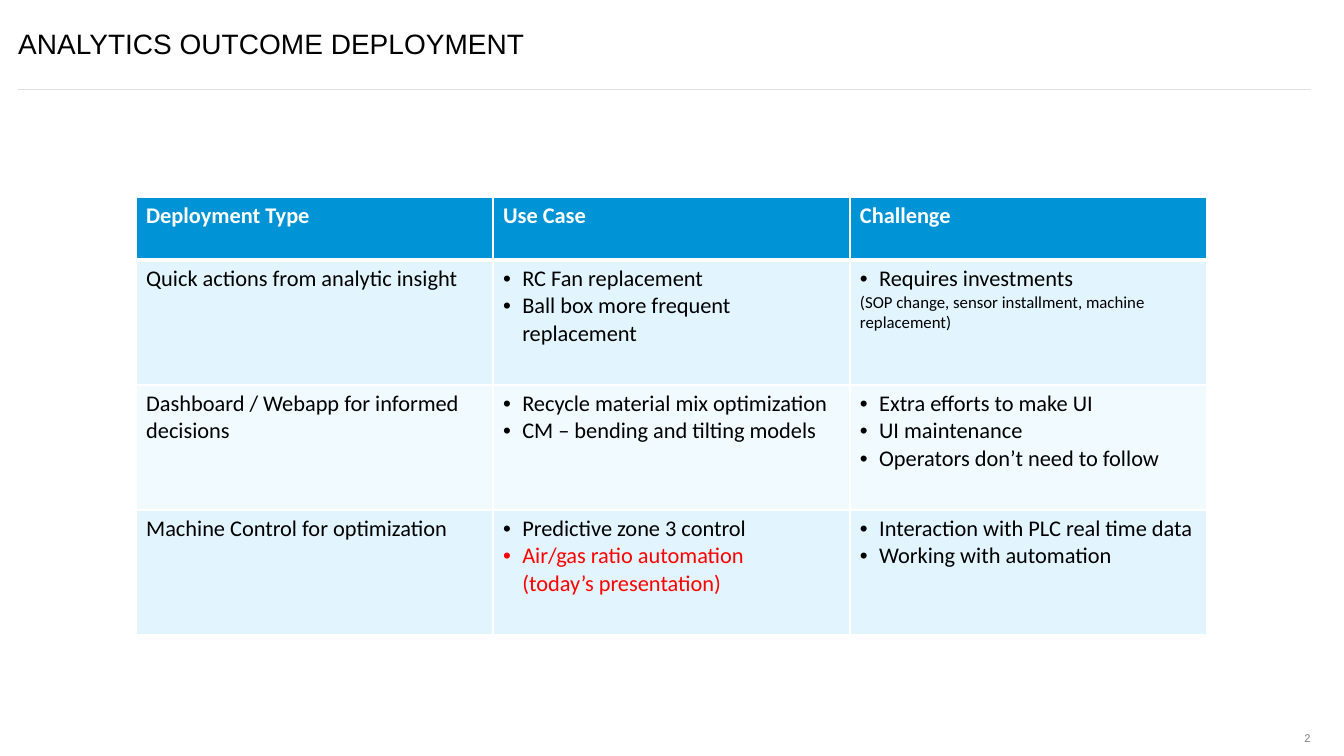
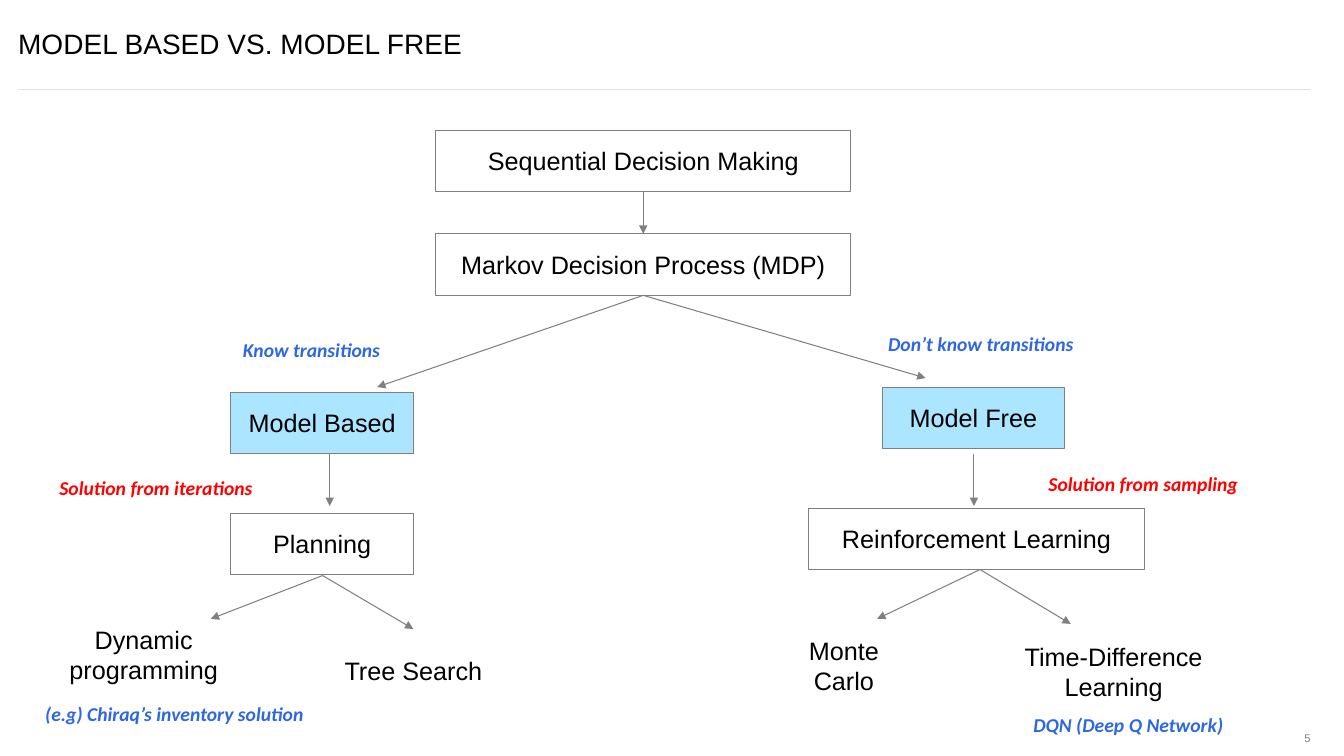
from lxml import etree
from pptx import Presentation
from pptx.dml.color import RGBColor
from pptx.enum.shapes import MSO_CONNECTOR, MSO_SHAPE
from pptx.enum.text import MSO_ANCHOR, PP_ALIGN
from pptx.oxml.ns import qn
from pptx.util import Inches, Pt

LINE, RECT = MSO_CONNECTOR.STRAIGHT, MSO_SHAPE.RECTANGLE
LEFT, MID, RIGHT = PP_ALIGN.LEFT, PP_ALIGN.CENTER, PP_ALIGN.RIGHT
CENTER = MSO_ANCHOR.MIDDLE

WIDE, HIGH = 13.33, 7.5
EDGE = 0.18
HUES = {
    "ink": "000000", "white": "FFFFFF", "gray": "808080", "rule": "E0E0E0",
    "head": "0093D5", "odd": "E2F5FF", "even": "F1FAFF",
    "sky": "ABE5FF", "blue": "2E68E1", "red": "FF0000",
}

HEADS = ["Deployment Type", "Use Case", "Challenge"]
STYLES = {
    "head": (16, "white", False),
    "plain": (16, "ink", False),
    "item": (16, "ink", True),
    "hot": (16, "red", True),
    "note": (12, "ink", False),
}
ROWS = [
    [
        [("plain", "Quick actions from analytic insight")],
        [("item", "RC Fan replacement"),
         ("item", "Ball box more frequent replacement")],
        [("item", "Requires investments"),
         ("note", "(SOP change, sensor installment, machine replacement)")],
    ],
    [
        [("plain", "Dashboard / Webapp for informed decisions")],
        [("item", "Recycle material mix optimization"),
         ("item", "CM – bending and tilting models")],
        [("item", "Extra efforts to make UI"),
         ("item", "UI maintenance"),
         ("item", "Operators don’t need to follow")],
    ],
    [
        [("plain", "Machine Control for optimization")],
        [("item", "Predictive zone 3 control"),
         ("hot", "Air/gas ratio automation\n(today’s presentation)")],
        [("item", "Interaction with PLC real time data"),
         ("item", "Working with automation")],
    ],
]
TABLE = (1.35, 1.96)
COL, HEAD, ROW = 3.54, 0.62, 1.24

BOX = 0.61
NODES = [
    ("Sequential Decision Making", 4.32, 1.29, 4.12, None),
    ("Markov Decision Process (MDP)", 4.32, 2.32, 4.12, None),
    ("Model Based", 2.29, 3.89, 1.81, "sky"),
    ("Model Free", 8.75, 3.84, 1.81, "sky"),
    ("Planning", 2.29, 5.09, 1.81, None),
    ("Reinforcement Learning", 8.02, 5.04, 3.33, None),
]
LEAVES = [
    (["Dynamic", "programming"], 0.58, 6.14, 1.69),
    (["Tree Search"], 3.31, 6.45, 1.58),
    (["Monte", "Carlo"], 7.92, 6.25, 0.9),
    (["Time-Difference", "Learning"], 10.02, 6.31, 2.05),
]
NOTES = [
    ("Know transitions", 2.31, 3.3, 1.57, "blue"),
    ("Don’t know transitions", 8.71, 3.24, 2.1, "blue"),
    ("Solution from iterations", 0.49, 4.67, 2.14, "red"),
    ("Solution from sampling", 10.3, 4.63, 2.14, "red"),
    ("(e.g) Chiraq’s inventory solution", 0.35, 6.91, 2.79, "blue"),
    ("DQN (Deep Q Network)", 10.15, 7.02, 2.1, "blue"),
]
ARROWS = [
    ((6.38, 1.9), [(6.38, 2.32)]),
    ((6.38, 2.93), [(3.74, 3.84), (9.18, 3.75)]),
    ((3.27, 4.5), [(3.27, 5.02)]),
    ((9.66, 4.5), [(9.66, 5.02)]),
    ((3.2, 5.71), [(2.09, 6.14), (4.1, 6.24)]),
    ((9.72, 5.65), [(8.7, 6.14), (10.62, 6.19)]),
]


def color(name):
    return RGBColor.from_string(HUES[name])


def style(par, size, hue, face="Arial", bold=False, slant=False, align=LEFT):
    par.alignment = align
    font = par.font
    font.name, font.size = face, Pt(size)
    font.bold, font.italic = bold, slant
    font.color.rgb = color(hue)


def bare(frame):
    frame.margin_left = frame.margin_right = 0
    frame.margin_top = frame.margin_bottom = 0
    frame.vertical_anchor = CENTER


def write(slide, lines, x, y, wide, high, size, hue, **look):
    box = slide.shapes.add_textbox(*map(Inches, (x, y, wide, high)))
    frame = box.text_frame
    frame.word_wrap = False
    frame.text = "\n".join(lines)
    for par in frame.paragraphs:
        style(par, size, hue, **look)
    return frame


def draw(slide, start, end, hue="gray", arrow=True):
    line = slide.shapes.add_connector(LINE, *map(Inches, start + end))
    line.line.color.rgb = color(hue)
    line.line.width = Pt(0.75)
    props = line.element.spPr
    if arrow:
        etree.SubElement(props.find(qn("a:ln")), qn("a:tailEnd"), type="triangle")
    etree.SubElement(props, qn("a:effectLst"))


def start(deck, title, number):
    slide = deck.slides.add_slide(deck.slide_layouts[5])
    head = slide.shapes.title
    head.left, head.top, head.width, head.height = map(
        Inches, (EDGE, 0.26, 10.63, 0.34))
    head.text_frame.text = title
    bare(head.text_frame)
    style(head.text_frame.paragraphs[0], 20, "ink")
    draw(slide, (EDGE, 0.89), (13, 0.89), "rule", False)
    bare(write(slide, [number], 12.86, 7.26, 0.14, 0.13, 8, "gray", align=RIGHT))
    return slide


def border(cell, top):
    props = cell._tc.get_or_add_tcPr()
    for index, (side, width) in enumerate(
            [("lnL", 1), ("lnR", 1), ("lnT", 1), ("lnB", 3 if top else 1)]):
        line = etree.Element(qn("a:" + side), w=str(Pt(width)))
        fill = etree.SubElement(line, qn("a:solidFill"))
        etree.SubElement(fill, qn("a:srgbClr"), val=HUES["white"])
        props.insert(index, line)


def bullet(par):
    props = par._p.get_or_add_pPr()
    gap = Inches(0.19)
    props.set("marL", str(gap))
    props.set("indent", str(-gap))
    etree.SubElement(props, qn("a:buFont"), typeface="Arial")
    etree.SubElement(props, qn("a:buChar"), char="•")


def fill_cell(cell, items, hue, top):
    cell.fill.solid()
    cell.fill.fore_color.rgb = color(hue)
    border(cell, top)
    frame = cell.text_frame
    for index, (kind, text) in enumerate(items):
        par = frame.add_paragraph() if index else frame.paragraphs[0]
        par.text = text
        size, ink, dot = STYLES[kind]
        if dot:
            bullet(par)
        style(par, size, ink, "Calibri", bold=top)


def outcome(deck):
    slide = start(deck, "ANALYTICS OUTCOME DEPLOYMENT", "2")
    rows = [[[("head", text)] for text in HEADS]] + ROWS
    highs = [HEAD] + [ROW] * len(ROWS)
    size = (COL * len(HEADS), sum(highs))
    grid = slide.shapes.add_table(
        len(rows), len(HEADS), *map(Inches, TABLE + size)).table
    for col in grid.columns:
        col.width = Inches(COL)
    for r, row in enumerate(rows):
        grid.rows[r].height = Inches(highs[r])
        hue = "odd" if r % 2 else "even" if r else "head"
        for c, items in enumerate(row):
            fill_cell(grid.cell(r, c), items, hue, r == 0)


def models(deck):
    slide = start(deck, "MODEL BASED VS. MODEL FREE", "5")
    for text, x, y, wide, hue in NODES:
        node = slide.shapes.add_shape(RECT, *map(Inches, (x, y, wide, BOX)))
        node.shadow.inherit = False
        if hue:
            node.fill.solid()
            node.fill.fore_color.rgb = color(hue)
        else:
            node.fill.background()
        node.line.color.rgb = color("gray")
        node.line.width = Pt(0.75)
        frame = node.text_frame
        frame.word_wrap = False
        frame.vertical_anchor = CENTER
        frame.text = text
        style(frame.paragraphs[0], 18, "ink", align=MID)
    for lines, x, y, wide in LEAVES:
        high = 0.1 + 0.3 * len(lines)
        write(slide, lines, x, y, wide, high, 18, "ink", align=MID)
    for text, x, y, wide, hue in NOTES:
        write(slide, [text], x, y, wide, 0.34, 14, hue,
              face="Calibri", bold=True, slant=True)
    for begin, ends in ARROWS:
        for end in ends:
            draw(slide, begin, end)


def main():
    deck = Presentation()
    deck.slide_width, deck.slide_height = Inches(WIDE), Inches(HIGH)
    outcome(deck)
    models(deck)
    deck.save("out.pptx")


if __name__ == "__main__":
    main()
